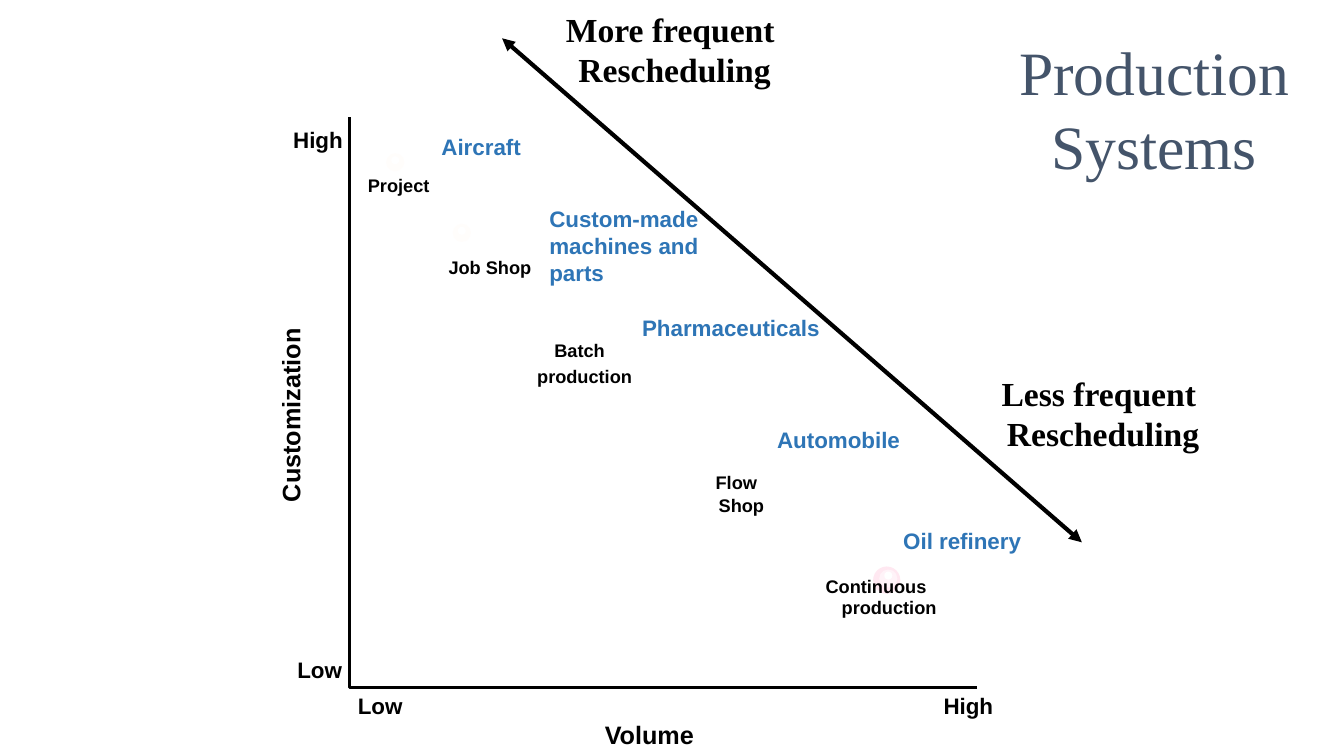
import pptx
import pptx.dml.color
import pptx.enum.shapes
import pptx.enum.text
import pptx.oxml
import pptx.oxml.ns
import pptx.util

RGB = pptx.dml.color.RGBColor
ALIGN = pptx.enum.text.PP_ALIGN
ANCHOR = pptx.enum.text.MSO_ANCHOR
AUTO = pptx.enum.text.MSO_AUTO_SIZE

PX = 9144  # EMU in one px, 100 px to the inch

BLACK = RGB(0x00, 0x00, 0x00)
WHITE = RGB(0xFF, 0xFF, 0xFF)
SLATE = RGB(0x44, 0x54, 0x6A)
BLUE = RGB(0x2E, 0x75, 0xB6)
CREAM = RGB(0xFF, 0xFD, 0xFB)
PINK = RGB(0xFF, 0xE8, 0xF1)
PALE_PINK = RGB(0xFF, 0xF3, 0xF8)

SANS = "Arial"
SERIF = "Times New Roman"

# Text, then left, top and width within the plot
STAGES = [
    ("Project", 8, 52, 82),
    ("Job Shop", 88, 133, 109),
    ("Batch", 193, 216, 76),
    ("production", 176, 241, 116),
    ("Flow", 353, 347, 67),
    ("Shop", 356, 369, 66),
    ("Continuous", 462, 450, 127),
    ("production", 478, 471, 116),
]
PRODUCTS = [
    ("Aircraft", 81, 11, 100),
    ("Pharmaceuticals", 280, 191, 198),
    ("Automobile", 414, 302, 143),
    ("Oil refinery", 539, 402, 139),
]
AXIS_ENDS = [
    ("High", -66, 4, 70),
    ("Low", -62, 530, 65),
    ("Low", -2, 566, 65),
    ("High", 579, 566, 70),
]

# Marker rings: left and top offset, diameter, colour
SMALL_RINGS = [(0, 0, 18, CREAM), (5, 3, 8, WHITE)]
LARGE_RINGS = [(0, 0, 27, PINK), (6, 3, 18, PALE_PINK), (11, 5, 8, WHITE)]
MARKERS = [(36, 36, SMALL_RINGS), (102, 106, SMALL_RINGS), (519, 446, LARGE_RINGS)]


def emu(*lengths):
    return [pptx.util.Emu(n * PX) for n in lengths]


def add_text(slide, text, box, size, color=BLACK, font=SANS, bold=True, wrap=False):
    sp = slide.shapes.add_textbox(*emu(*box))
    tf = sp.text_frame
    tf.word_wrap = wrap
    tf.auto_size = AUTO.NONE if wrap else AUTO.SHAPE_TO_FIT_TEXT
    p = tf.paragraphs[0]
    p.text = text
    p.font.size = pptx.util.Pt(size)
    p.font.name = font
    p.font.bold = bold
    p.font.color.rgb = color
    return sp


def add_centred(slide, text, box, size, color=BLACK, bold=True):
    sp = add_text(slide, text, box, size, color, SERIF, bold, wrap=True)
    sp.text_frame.vertical_anchor = ANCHOR.MIDDLE
    sp.text_frame.paragraphs[0].alignment = ALIGN.CENTER


def add_marker(slide, x, y, rings):
    for dx, dy, size, color in rings:
        sp = slide.shapes.add_shape(pptx.enum.shapes.MSO_SHAPE.OVAL,
                                    *emu(x + dx, y + dy, size, size))
        sp.shadow.inherit = False
        sp.fill.solid()
        sp.fill.fore_color.rgb = color
        sp.line.fill.background()


def add_axes(slide, x, y, w, h):
    # One open outline for both axes
    builder = slide.shapes.build_freeform(x + w, y + h, scale=PX)
    builder.add_line_segments([(x, y + h), (x, y)], close=False)
    sp = builder.convert_to_shape()
    sp.shadow.inherit = False
    sp.fill.background()
    sp.line.color.rgb = BLACK
    sp.line.width = pptx.util.Pt(2)

    # Axis ends and titles
    for text, dx, dy, width in AXIS_ENDS:
        add_text(slide, text, (x + dx, y + dy, width, 37), 16)
    add_text(slide, "Volume", (x + 243, y + 593, 110, 40), 18)
    sp = add_text(slide, "Customization", (x - 156, y + 275, 194, 40), 18)
    sp.rotation = 270


def add_systems(slide, x, y):
    for dx, dy, rings in MARKERS:
        add_marker(slide, x + dx, y + dy, rings)
    for text, dx, dy, width in STAGES:
        add_text(slide, text, (x + dx, y + dy, width, 32), 13)
    for text, dx, dy, width in PRODUCTS:
        add_text(slide, text, (x + dx, y + dy, width, 37), 16, BLUE)
    add_text(slide, "Custom-made machines and parts",
             (x + 188, y + 83, 188, 118), 16, BLUE, wrap=True)


def add_rescheduling(slide, x, y, w, h):
    # Double-headed arrow
    cx = slide.shapes.add_connector(pptx.enum.shapes.MSO_CONNECTOR.STRAIGHT,
                                    *emu(x, y, x + w, y + h))
    cx.line.color.rgb = BLACK
    cx.line.width = pptx.util.Pt(3)
    ln = cx.line._get_or_add_ln()
    for end in ("headEnd", "tailEnd"):
        ln.append(pptx.oxml.parse_xml(
            f'<a:{end} {pptx.oxml.ns.nsdecls("a")} type="triangle"/>'))
    cx._element.spPr.append(pptx.oxml.parse_xml(
        f'<a:effectLst {pptx.oxml.ns.nsdecls("a")}/>'))

    # Captions at both ends
    for text, dx, dy in [("More frequent \vRescheduling", 42, -36),
                         ("Less frequent \vRescheduling", 467, 325)]:
        add_centred(slide, text, (x + dx, y + dy, 258, 94), 24)


def main():
    prs = pptx.Presentation()
    prs.slide_width, prs.slide_height = emu(1333, 750)
    slide = prs.slides.add_slide(prs.slide_layouts[6])
    add_axes(slide, 347, 116, 622, 566)
    add_systems(slide, 347, 116)
    add_centred(slide, "Production Systems", (975, 31, 340, 153), 44, SLATE, bold=False)
    add_rescheduling(slide, 498, 38, 575, 500)
    prs.save("out.pptx")


if __name__ == "__main__":
    main()
